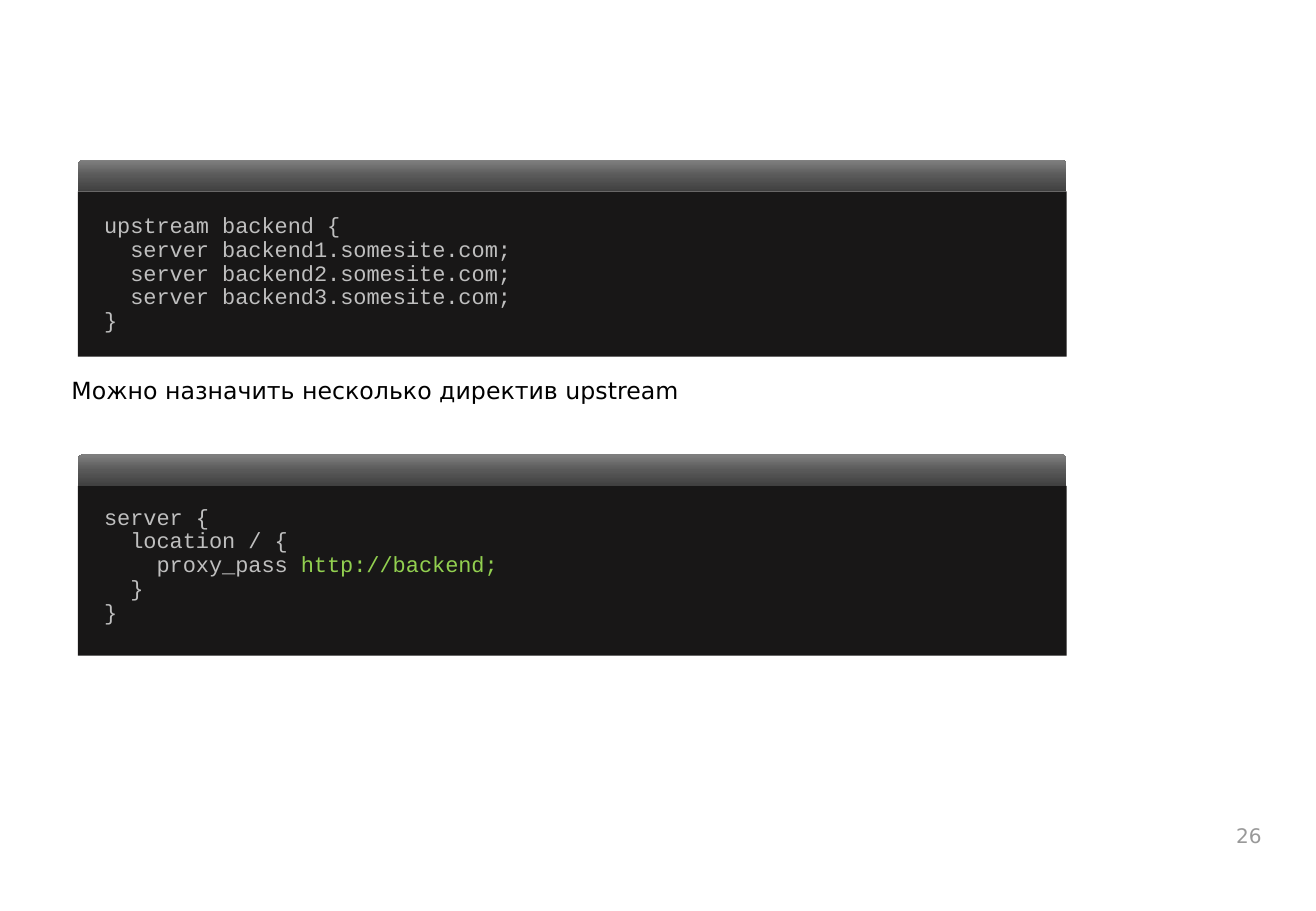
from copy import deepcopy

from lxml.etree import SubElement
from pptx import Presentation
from pptx.dml.color import RGBColor
from pptx.enum.shapes import MSO_SHAPE
from pptx.enum.text import MSO_ANCHOR, PP_ALIGN
from pptx.oxml.ns import qn
from pptx.util import Pt

GREY, GREEN, BLACK = "BFBFBF", "92D050", "000000"
CODE = {"name": "Courier New", "size": Pt(13)}
BODY = {"name": "DejaVu Sans", "size": Pt(14)}
NUMBER = {"name": "DejaVu Sans", "size": Pt(11.9)}
BAR_STOPS = [(0, "404040"), (0.5, "595959"), (1, "808080")]
LEFT, WIDTH, BAR_HEIGHT = 46.2, 586, 18.6

UPSTREAM = [
    [("upstream backend {", GREY)],
    [("  server backend1.somesite.com;", GREY)],
    [("  server backend2.somesite.com;", GREY)],
    [("  server backend3.somesite.com;", GREY)],
    [("}", GREY)],
]
SERVER = [
    [("server {", GREY)],
    [("  location / {", GREY)],
    [("    proxy_pass ", GREY), ("http://backend;", GREEN)],
    [("  }", GREY)],
    [("}", GREY)],
]


def rgb(value):
    return RGBColor.from_string(value)


def add_text(s, box, lines, font, anchor=MSO_ANCHOR.TOP, **paragraph):
    tf = s.shapes.add_textbox(*map(Pt, box)).text_frame
    tf.word_wrap = True
    tf.vertical_anchor = anchor
    p = tf.paragraphs[0]
    for key, value in paragraph.items():
        setattr(p, key, value)
    for i, line in enumerate(lines):
        if i:
            p.add_line_break()
        for text, color in line:
            r = p.add_run()
            r.text = text
            for key, value in font.items():
                setattr(r.font, key, value)
            r.font.color.rgb = rgb(color)
    return p


def add_block(s, kind, top, height):
    sp = s.shapes.add_shape(kind, Pt(LEFT), Pt(top), Pt(WIDTH), Pt(height))
    sp.shadow.inherit = False
    sp.line.fill.background()
    return sp


def fill_bar(sp):
    sp.fill.gradient()
    sp.fill.gradient_angle = 90
    stop_list = sp._element.spPr.find(qn("a:gradFill")).find(qn("a:gsLst"))
    stop_list.insert(1, deepcopy(stop_list[0]))
    for stop, (position, color) in zip(sp.fill.gradient_stops, BAR_STOPS):
        stop.position = position
        stop.color.rgb = rgb(color)


def add_code_window(s, top, height, text_top, lines):
    body = add_block(s, MSO_SHAPE.RECTANGLE, top + BAR_HEIGHT, height)
    body.fill.solid()
    body.fill.fore_color.rgb = rgb("181717")
    fill_bar(add_block(s, MSO_SHAPE.ROUND_2_SAME_RECTANGLE, top, BAR_HEIGHT))
    add_text(s, (54.6, text_top, 566, 88), lines, CODE, line_spacing=0.9)


def add_page_number(s, number):
    p = add_text(s, (721.4, 481, 37.6, 28.8), [[(number, BLACK)]], NUMBER,
                 MSO_ANCHOR.MIDDLE, alignment=PP_ALIGN.CENTER)
    color = p.runs[0]._r.rPr.find(qn("a:solidFill"))[0]
    SubElement(color, qn("a:alpha")).set("val", "40000")


def main():
    prs = Presentation()
    prs.slide_width, prs.slide_height = Pt(780), Pt(540)
    s = prs.slides.add_slide(prs.slide_layouts[6])
    add_page_number(s, "26")
    add_code_window(s, 94.8, 98, 123.8, UPSTREAM)
    add_text(s, (35.3, 216.7, 607.7, 29.5),
             [[("Можно назначить несколько директив upstream", BLACK)]],
             BODY, MSO_ANCHOR.MIDDLE)
    add_code_window(s, 269.4, 100.6, 296.6, SERVER)
    prs.save("out.pptx")


if __name__ == "__main__":
    main()
